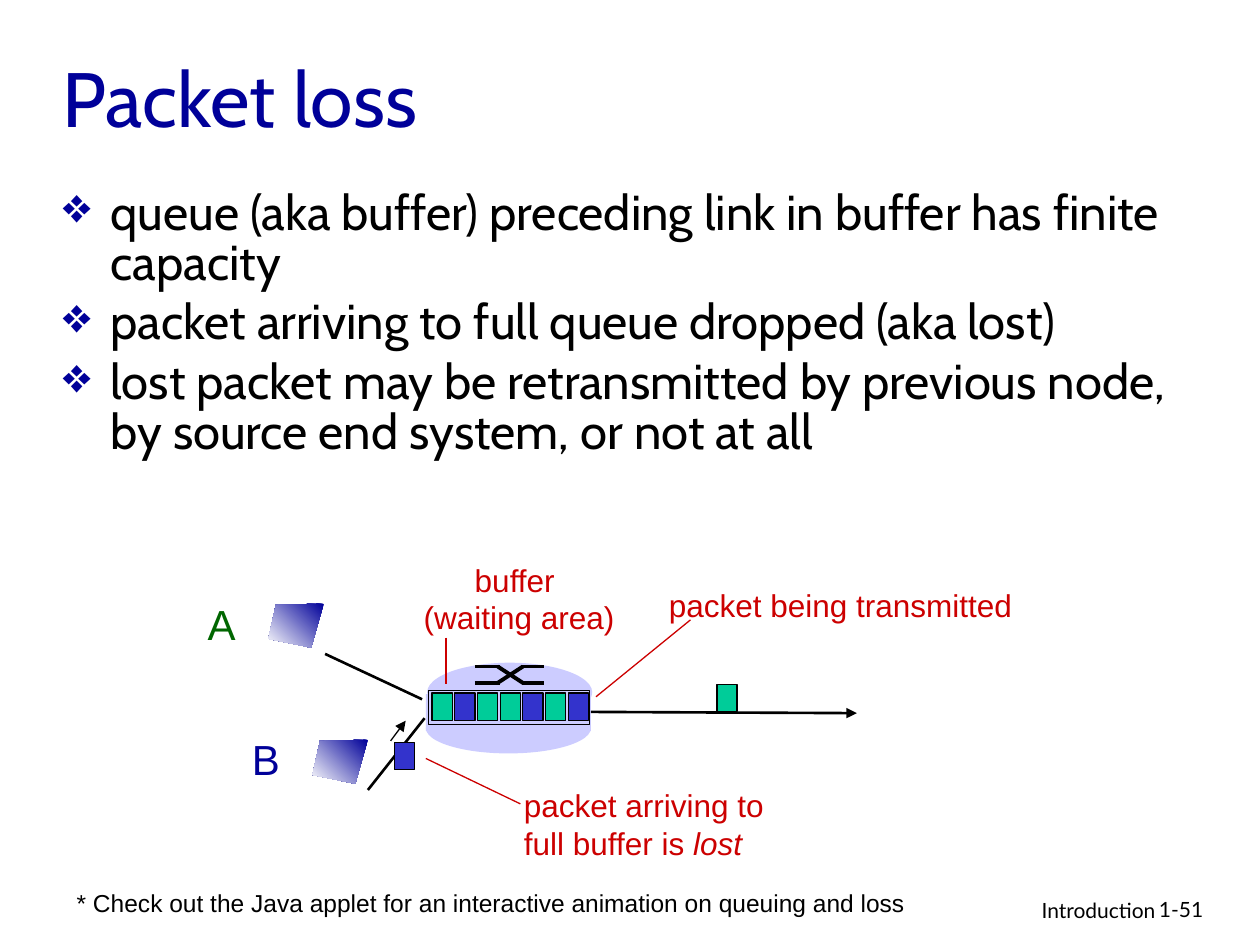
from lxml.etree import SubElement
from pptx import Presentation
from pptx.dml.color import RGBColor
from pptx.enum.shapes import MSO_CONNECTOR, MSO_SHAPE
from pptx.enum.text import MSO_ANCHOR, MSO_AUTO_SIZE, PP_ALIGN
from pptx.oxml.ns import qn
from pptx.util import Inches, Pt

BLACK = RGBColor(0x00, 0x00, 0x00)
NAVY = RGBColor(0x00, 0x00, 0x99)
WHITE = RGBColor(0xFF, 0xFF, 0xFF)
DARK_GREEN = RGBColor(0x00, 0x66, 0x00)
RED = RGBColor(0xCC, 0x00, 0x00)
LAVENDER = RGBColor(0xCC, 0xCC, 0xFF)
GREEN = RGBColor(0x00, 0xCC, 0x99)
BLUE = RGBColor(0x33, 0x33, 0xCC)

TITLE = "Packet loss"
POINTS = [
    "queue (aka buffer) preceding link in buffer has finite capacity",
    "packet arriving to full queue dropped (aka lost)",
    "lost packet may be retransmitted by previous node, by source end system, or not at all",
]
# text, (left, top, width, height), size, colour, alignment
LABELS = [
    ("A", (1.55, 4.7, 0.42, 0.5), 24, DARK_GREEN, PP_ALIGN.LEFT),
    ("B", (1.9, 5.77, 0.42, 0.5), 24, NAVY, PP_ALIGN.LEFT),
    ("packet being transmitted", (5.21, 4.6, 2.95, 0.4), 18, RED, PP_ALIGN.LEFT),
    ("buffer \n(waiting area)", (3.26, 4.4, 1.72, 0.7), 18, RED, PP_ALIGN.CENTER),
    ("* Check out the Java applet for an interactive animation on queuing and loss",
     (0.51, 7, 6.81, 0.34), 14, BLACK, PP_ALIGN.LEFT),
]
LOST_LABEL = "packet arriving to\nfull buffer is "
LOST_WORD = "lost"
FOOTERS = [
    ("Introduction", (6.1, 7.07, 3.17, 0.31), PP_ALIGN.RIGHT),
    ("1-51", (9.1, 7.07, 0.74, 0.3), PP_ALIGN.LEFT),
]

ROUTER = [
    (MSO_SHAPE.OVAL, (3.38, 5.58, 1.31, 0.4)),
    (MSO_SHAPE.RECTANGLE, (3.38, 5.51, 1.31, 0.29)),
    (MSO_SHAPE.OVAL, (3.39, 5.26, 1.31, 0.47)),
]
SWITCH_TOP, SWITCH_BOTTOM = 5.29, 5.42
LINKS = [((2.58, 5.19), (3.35, 5.55)), ((2.92, 6.27), (3.37, 5.7))]
OUTGOING_LINK = ((4.69, 5.65), (6.8, 5.66))
ARRIVAL_ARROW = ((3.1, 5.88), (3.22, 5.72))
POINTERS = [
    ((5.48, 4.92), (4.73, 5.53)),
    ((4.13, 6.38), (3.38, 6.02)),
    ((3.54, 5.06), (3.54, 5.43)),
]
QUEUE = [GREEN, BLUE, GREEN, GREEN, BLUE, GREEN, BLUE]
QUEUE_LEFT, QUEUE_TOP, QUEUE_STEP = 3.43, 5.5, 0.18
QUEUE_FRAME = (3.4, 5.48, 1.28, 0.27)
PACKET_SIZE = (0.16, 0.22)
HOSTS = [(2.13, 4.79), (2.48, 5.87)]
HOST_OUTLINE = [(0.44, 0), (0.06, 0.01), (0, 0.28), (0.34, 0.35)]

prs = Presentation()
prs.slide_width, prs.slide_height = Inches(10), Inches(7.5)
slide = prs.slides.add_slide(prs.slide_layouts[6])
shapes = slide.shapes


def add_text(text, box, size, color, font="Arial", align=PP_ALIGN.LEFT, wrap=False):
    """Add a text box that either wraps in its box or grows with its text."""
    frame = shapes.add_textbox(*map(Inches, box)).text_frame
    frame.word_wrap = wrap
    frame.auto_size = MSO_AUTO_SIZE.NONE if wrap else MSO_AUTO_SIZE.SHAPE_TO_FIT_TEXT
    frame.text = text
    for paragraph in frame.paragraphs:
        paragraph.alignment = align
        for run in paragraph.runs:
            style_run(run, size, color, font)
    return frame


def style_run(run, size, color, font):
    run.font.size, run.font.name = Pt(size), font
    run.font.color.rgb = color


def add_bullet(paragraph):
    props = paragraph._p.get_or_add_pPr()
    props.set("marL", str(Inches(0.38)))
    props.set("indent", str(Inches(-0.38)))
    SubElement(SubElement(props, qn("a:buClr")), qn("a:srgbClr"), val=str(NAVY))
    SubElement(props, qn("a:buSzPct"), val="100000")
    SubElement(props, qn("a:buChar"), char="❖")


def add_block(kind, box, fill=None, outlined=True):
    block = shapes.add_shape(kind, *map(Inches, box))
    block.shadow.inherit = False
    if fill is None:
        block.fill.background()
    else:
        block.fill.solid()
        block.fill.fore_color.rgb = fill
    if outlined:
        block.line.color.rgb = BLACK
        block.line.width = Pt(0.75)
    else:
        block.line.fill.background()


def add_packet(left, top, color):
    add_block(MSO_SHAPE.RECTANGLE, (left, top, *PACKET_SIZE), color)


def add_line(start, end, width, color=BLACK, arrow=False):
    line = shapes.add_connector(MSO_CONNECTOR.STRAIGHT, *map(Inches, (*start, *end)))
    line.line.color.rgb = color
    line.line.width = Pt(width)
    if arrow:
        SubElement(line.line._get_or_add_ln(), qn("a:tailEnd"), type="triangle")
    SubElement(line._element.spPr, qn("a:effectLst"))


def add_host(left, top):
    corners = [(Inches(left + x), Inches(top + y)) for x, y in HOST_OUTLINE]
    builder = shapes.build_freeform(*corners[0])
    builder.add_line_segments(corners[1:], close=True)
    host = builder.convert_to_shape()
    host.shadow.inherit = False
    host.line.fill.background()
    host.fill.gradient()
    host.fill.gradient_angle = 225
    for stop, color in zip(host.fill.gradient_stops, (NAVY, WHITE)):
        stop.color.rgb = color


# Title and bullet points
title = add_text(TITLE, (0.4, 0.14, 8.5, 1.25), 44, NAVY, "Cabin", wrap=True)
title.vertical_anchor = MSO_ANCHOR.MIDDLE
body = add_text("\n".join(POINTS), (0.4, 1.46, 9.18, 5.08), 28, BLACK, "Cabin", wrap=True)
for number, point in enumerate(body.paragraphs):
    add_bullet(point)
    point.line_spacing = 0.85
    point.space_before = Pt(5.6 if number else 0)

# Router with its crossed switch symbol
for kind, box in ROUTER:
    add_block(kind, box, LAVENDER, outlined=False)
for near, far in ((SWITCH_TOP, SWITCH_BOTTOM), (SWITCH_BOTTOM, SWITCH_TOP)):
    add_line((3.77, near), (3.97, near), 2.25)
    add_line((3.95, near), (4.15, far), 2.25)
    add_line((4.14, far), (4.32, far), 2.25)

# Links, packets and hosts
for start, end in LINKS:
    add_line(start, end, 1.5)
add_line(*OUTGOING_LINK, 1.5, arrow=True)
add_packet(5.69, 5.43, GREEN)
add_packet(3.13, 5.89, BLUE)
add_line(*ARRIVAL_ARROW, 0.75, arrow=True)
for place, color in enumerate(QUEUE):
    add_packet(QUEUE_LEFT + place * QUEUE_STEP, QUEUE_TOP, color)
add_block(MSO_SHAPE.RECTANGLE, QUEUE_FRAME)
for host in HOSTS:
    add_host(*host)

# Labels, pointers and footer
for start, end in POINTERS:
    add_line(start, end, 0.75, RED)
for text, box, size, color, align in LABELS:
    add_text(text, box, size, color, align=align)
lost_label = add_text(LOST_LABEL, (4.06, 6.19, 2.13, 0.7), 18, RED)
lost = lost_label.paragraphs[-1].add_run()
lost.text = LOST_WORD
style_run(lost, 18, RED, "Arial")
lost.font.italic = True
for text, box, align in FOOTERS:
    add_text(text, box, 12, BLACK, "Lato", align, wrap=True)

prs.save("out.pptx")
